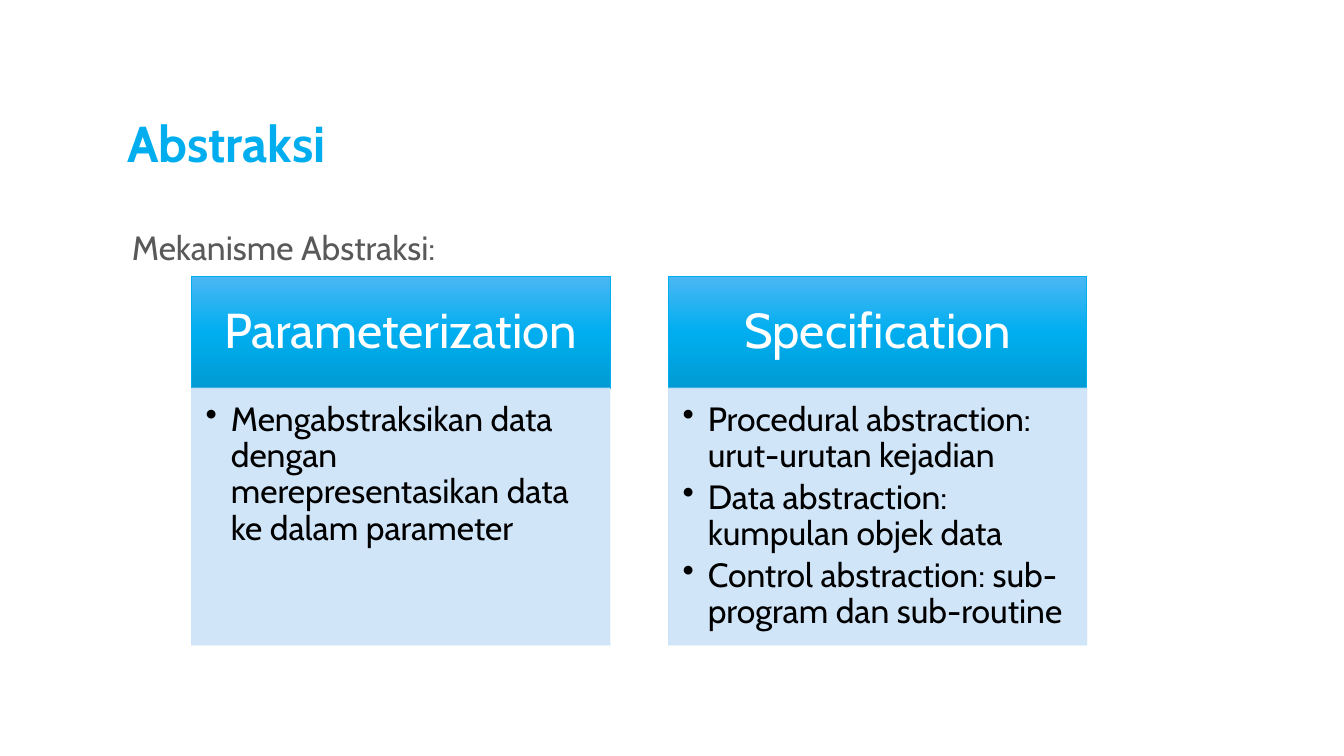
from copy import deepcopy

from lxml import etree
from pptx import Presentation
from pptx import util as u
from pptx.dml.color import RGBColor
from pptx.enum import shapes, text
from pptx.oxml.ns import qn

COLOURS = {
    "accent": "00AEEF",
    "accent_light": "4BB7F4",
    "accent_dark": "009BD4",
    "pale": "CCE3F9",
    "grey": "595959",
    "black": "000000",
    "white": "FFFFFF",
}
COLUMNS = [
    ("Parameterization", [
        "Mengabstraksikan data dengan merepresentasikan data ke dalam parameter",
    ]),
    ("Specification", [
        "Procedural abstraction: urut-urutan kejadian",
        "Data abstraction: kumpulan objek data",
        "Control abstraction: sub-program dan sub-routine",
    ]),
]
LEFT, COLUMN_WIDTH, COLUMN_STEP = 1.9, 4.15, 4.73
HEADER_TOP, HEADER_HEIGHT = 2.74, 1.11
BODY_TOP, BODY_HEIGHT = 3.85, 2.55


def colour(name):
    return RGBColor.from_string(COLOURS[name])


def write_text(frame, lines, size, color, bold=False, align=text.PP_ALIGN.LEFT,
               anchor=text.MSO_ANCHOR.TOP, insets=(0.1, 0.05, 0.1, 0.05),
               line_spacing=0.9, before=0, after=0, indent=(0, 0), bullet=None):
    frame.word_wrap = True
    frame.auto_size = text.MSO_AUTO_SIZE.NONE
    frame.vertical_anchor = anchor
    (frame.margin_left, frame.margin_top,
     frame.margin_right, frame.margin_bottom) = map(u.Inches, insets)
    for index, line in enumerate(lines):
        paragraph = frame.add_paragraph() if index else frame.paragraphs[0]
        paragraph.alignment = align
        paragraph.line_spacing = line_spacing
        paragraph.space_before = u.Pt(before)
        paragraph.space_after = u.Pt(after)
        properties = paragraph._p.get_or_add_pPr()
        properties.set("marL", str(u.Inches(indent[0])))
        properties.set("indent", str(u.Inches(indent[1])))
        if bullet:
            etree.SubElement(properties, qn("a:buChar")).set("char", bullet)
        else:
            etree.SubElement(properties, qn("a:buNone"))
        run = paragraph.add_run()
        run.text = line
        run.font.name = "Cabin"
        run.font.size = u.Pt(size)
        run.font.bold = bold
        run.font.color.rgb = colour(color)


class SlideBuilder:
    """Hold the current slide and draw its elements in one style."""

    def __init__(self, presentation):
        self.slide = presentation.slides.add_slide(presentation.slide_layouts[5])

    def title(self, line, box, **style):
        title = self.slide.shapes.title
        title.left, title.top, title.width, title.height = map(u.Inches, box)
        write_text(title.text_frame, [line], **style)

    def label(self, line, box, **style):
        label = self.slide.shapes.add_textbox(*map(u.Inches, box))
        write_text(label.text_frame, [line], **style)

    def rectangle(self, box, line_color):
        shape = self.slide.shapes.add_shape(
            shapes.MSO_SHAPE.RECTANGLE, *map(u.Inches, box))
        shape.shadow.inherit = False
        shape.line.color.rgb = colour(line_color)
        shape.line.width = u.Pt(0.5)
        return shape

    def header(self, line, box):
        shape = self.rectangle(box, "accent")
        shape.fill.gradient()
        shape.fill.gradient_angle = 270
        stop_list = shape._element.spPr.find(".//" + qn("a:gsLst"))
        stop_list.insert(1, deepcopy(stop_list[0]))
        names = ("accent_light", "accent", "accent_dark")
        for stop, name, position in zip(shape.fill.gradient_stops, names, (0, 0.5, 1)):
            stop.color.rgb = colour(name)
            stop.position = position
        write_text(shape.text_frame, [line], size=35, color="white",
                   align=text.PP_ALIGN.CENTER, anchor=text.MSO_ANCHOR.MIDDLE,
                   insets=(0.27, 0.16, 0.27, 0.16))

    def body(self, lines, box):
        shape = self.rectangle(box, "pale")
        shape.fill.solid()
        shape.fill.fore_color.rgb = colour("pale")
        for color_node in shape._element.spPr.iter(qn("a:srgbClr")):
            etree.SubElement(color_node, qn("a:alpha")).set("val", "90000")
        write_text(shape.text_frame, lines, size=24, color="black",
                   insets=(0.14, 0.14, 0.19, 0.21), after=4,
                   indent=(0.25, -0.25), bullet="•")


def main():
    presentation = Presentation()
    presentation.slide_width = u.Inches(13.33)
    presentation.slide_height = u.Inches(7.5)
    builder = SlideBuilder(presentation)
    builder.title("Abstraksi", (1.16, 1.18, 9.5, 1.17), size=36,
                  color="accent", bold=True, line_spacing=0.8)
    builder.label("Mekanisme Abstraksi:", (1.16, 2, 9.5, 1.05), size=24,
                  color="grey", line_spacing=1.5, before=18, indent=(0.3, -0.25))
    for index, (heading, points) in enumerate(COLUMNS):
        left = LEFT + index * COLUMN_STEP
        builder.header(heading, (left, HEADER_TOP, COLUMN_WIDTH, HEADER_HEIGHT))
        builder.body(points, (left, BODY_TOP, COLUMN_WIDTH, BODY_HEIGHT))
    presentation.save("out.pptx")


if __name__ == "__main__":
    main()
